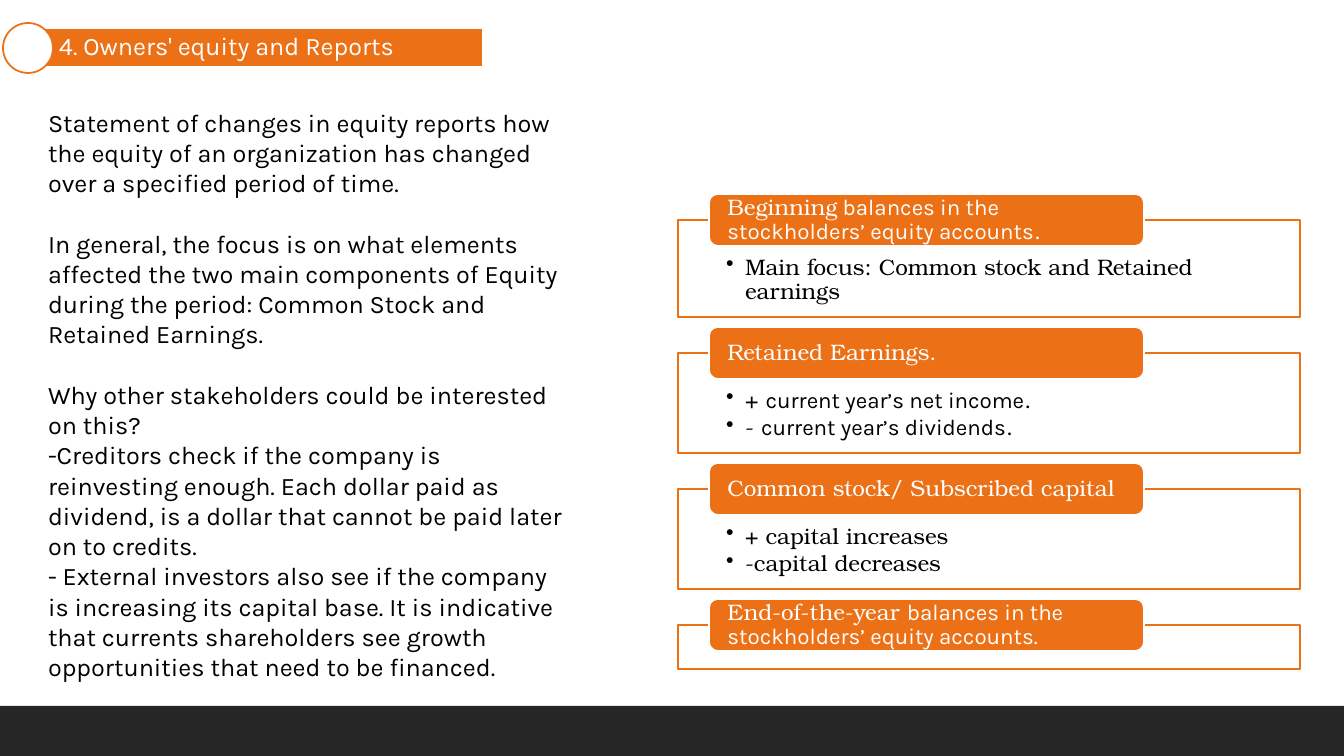
from dataclasses import dataclass

from lxml import etree
from pptx import Presentation
from pptx.dml.color import RGBColor
from pptx.enum.shapes import MSO_SHAPE
from pptx.enum.text import MSO_ANCHOR, MSO_AUTO_SIZE, PP_ALIGN
from pptx.oxml.ns import qn
from pptx.util import Pt

RECT, ROUND, OVAL = MSO_SHAPE.RECTANGLE, MSO_SHAPE.ROUNDED_RECTANGLE, MSO_SHAPE.OVAL
TOP, MIDDLE = MSO_ANCHOR.TOP, MSO_ANCHOR.MIDDLE
LEFT, NO_FIT = PP_ALIGN.LEFT, MSO_AUTO_SIZE.NONE
PX = 914400 / 100.8


@dataclass(frozen=True)
class Theme:
    accent: RGBColor = RGBColor(0xEC, 0x70, 0x16)
    white: RGBColor = RGBColor(0xFF, 0xFF, 0xFF)
    black: RGBColor = RGBColor(0, 0, 0)
    footer: RGBColor = RGBColor(0x26, 0x26, 0x26)
    sans: str = "Karla"
    serif: str = "TeX Gyre Bonum"
    large: float = 18
    small: float = 16
    outline: float = 1.25


theme = Theme()
SANS, SERIF = theme.sans, theme.serif


def px(*lengths):
    return [round(n * PX) for n in lengths]


def write(shape, paragraphs, size, color, margins, anchor=TOP, spacing=1.0,
          after=0, gaps=(), bullet=None, indent=0):
    """Fill a shape with paragraphs of (text, font) runs; gaps lists paragraphs set apart by a line."""
    tf = shape.text_frame
    tf.word_wrap, tf.auto_size, tf.vertical_anchor = True, NO_FIT, anchor
    tf.margin_left, tf.margin_top, tf.margin_right, tf.margin_bottom = px(*margins)
    for i, runs in enumerate(paragraphs):
        p = tf.add_paragraph() if i else tf.paragraphs[0]
        pPr = p._p.get_or_add_pPr()
        pPr.set("marL", str(px(indent)[0]))
        pPr.set("indent", str(px(-indent)[0]))
        if bullet:
            etree.SubElement(pPr, qn("a:buChar")).set("char", bullet)
        else:
            etree.SubElement(pPr, qn("a:buNone"))
        p.alignment, p.line_spacing = LEFT, spacing
        p.space_before = Pt(size * 1.2 if i in gaps else 0)
        p.space_after = Pt(after)
        for text, font in runs:
            r = p.add_run()
            r.text = text
            r.font.name, r.font.size, r.font.color.rgb = font, Pt(size), color


prs = Presentation()
prs.slide_width, prs.slide_height = px(1344, 756)
s = prs.slides.add_slide(prs.slide_layouts[1])
title, body = s.placeholders

# Title ribbon
title.left, title.top, title.width, title.height = px(27, 28, 456, 39)
title.fill.solid()
title.fill.fore_color.rgb = theme.accent
title.line.color.rgb, title.line.width = theme.white, Pt(theme.outline)
write(title, [[("4. Owners' equity and Reports", SANS)]], theme.large, theme.white,
      (32, 5, 5, 5), anchor=MIDDLE, spacing=0.9)

# Explanation on the left
explanation = [
    "Statement of changes in equity reports how the equity of an organization has changed over a specified period of time.",
    "In general, the focus is on what elements affected the two main components of Equity during the period: Common Stock and Retained Earnings.",
    "Why other stakeholders could be interested on this?",
    "-Creditors check if the company is reinvesting enough. Each dollar paid as dividend, is a dollar that cannot be paid later on to credits.",
    "- External investors also see if the company is increasing its capital base. It is indicative that currents shareholders see growth opportunities that need to be financed.",
]
body.left, body.top, body.width, body.height = px(38, 102, 537, 559)
write(body, [[(text, SANS)] for text in explanation], theme.large, theme.black,
      (10, 5, 10, 5), gaps=(1, 2))

# Panels: height, heading runs, bullet paragraphs
panels = [
    (97,
     [("Beginning", SERIF), (" balances in the stockholders’ equity accounts", SANS), (".", SERIF)],
     [[("Main focus: Common stock and Retained earnings", SERIF)]]),
    (100,
     [("Retained Earnings.", SERIF)],
     [[("+ ", SERIF), ("current year’s net income", SANS), (".", SERIF)],
      [("- ", SERIF), ("current year’s dividends", SANS), (".", SERIF)]]),
    (100,
     [("Common stock/ Subscribed capital", SERIF)],
     [[("+ capital increases", SERIF)], [("-capital decreases", SERIF)]]),
    (44,
     [("End-of-the-year ", SERIF), ("balances in the stockholders’ equity accounts.", SANS)],
     []),
]
PANEL_GAP, HEADING_RISE, HEADING_HEIGHT = 36, 26, 52

# Shapes: preset, place, fill, outline, heading runs, bullet paragraphs
shapes = [
    (RECT, (0, 706, 1344, 50), theme.footer, None, None, None),
    (OVAL, (3, 23, 50, 50), theme.white, theme.accent, None, None),
]
top = 220
for height, heading, bullets in panels:
    shapes += [
        (RECT, (678, top, 622, height), theme.white, theme.accent, None, bullets),
        (ROUND, (709, top - HEADING_RISE, 435, HEADING_HEIGHT), theme.accent, theme.white,
         heading, None),
    ]
    top += height + PANEL_GAP

for preset, place, fill, outline, heading, bullets in shapes:
    sp = s.shapes.add_shape(preset, *px(*place))
    sp.shadow.inherit = False
    sp.fill.solid()
    sp.fill.fore_color.rgb = fill
    if outline is None:
        sp.line.fill.background()
    else:
        sp.line.color.rgb, sp.line.width = outline, Pt(theme.outline)
    if heading:
        write(sp, [heading], theme.small, theme.white, (16, 0, 16, 0),
              anchor=MIDDLE, spacing=0.9)
    if bullets:
        write(sp, bullets, theme.small, theme.black, (48, 36, 48, 12),
              spacing=0.9, after=2.4, bullet="•", indent=19)

prs.save("out.pptx")
